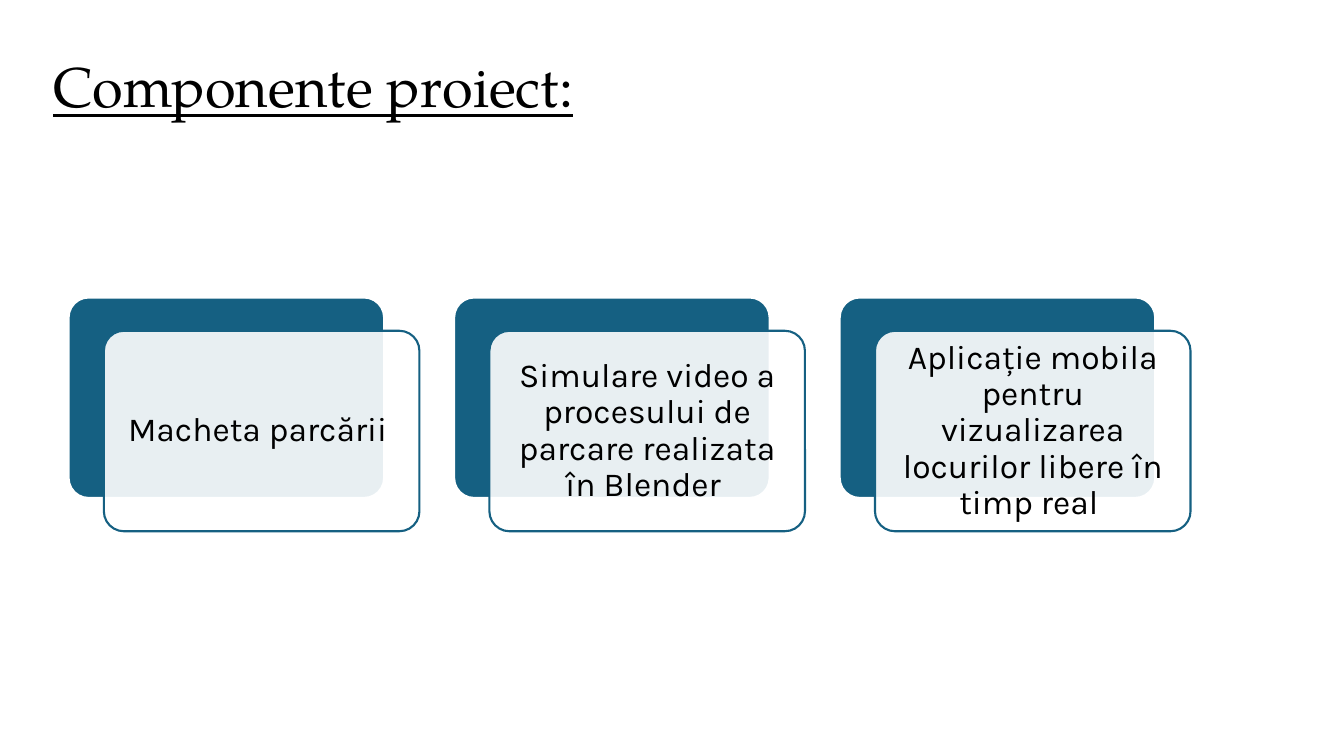
from typing import NamedTuple

from lxml.etree import SubElement
from pptx import Presentation
from pptx.dml.color import RGBColor
from pptx.enum.shapes import MSO_SHAPE
from pptx.enum.text import MSO_ANCHOR, MSO_AUTO_SIZE, PP_ALIGN
from pptx.oxml.ns import qn
from pptx.shapes.autoshape import Shape
from pptx.slide import Slide
from pptx.text.text import _Paragraph as Para
from pptx.util import Pt

BLACK = RGBColor(0x00, 0x00, 0x00)
WHITE = RGBColor(0xFF, 0xFF, 0xFF)
TEAL = RGBColor(0x15, 0x60, 0x82)

LEFT, TOP = 49, 212.5
WIDTH, HEIGHT = 225.4, 143.2
PITCH = 275.4
SHIFT_X, SHIFT_Y = 25.2, 23.8


class Card(NamedTuple):
    text: str


CARDS = [
    Card("Macheta parcării "),
    Card("Simulare video a procesului de parcare realizata în Blender "),
    Card("Aplicație mobila pentru vizualizarea locurilor libere în timp real "),
]


def add_run(para: Para, text: str, font: str, size: float, under: bool = False) -> None:
    run = para.add_run()
    run.text = text
    run.font.name = font
    run.font.size = Pt(size)
    run.font.color.rgb = BLACK
    if under:
        run.font.underline = True


def add_panel(slide: Slide, left: float, top: float, fill: RGBColor, line: RGBColor) -> Shape:
    panel = slide.shapes.add_shape(
        MSO_SHAPE.ROUNDED_RECTANGLE, Pt(left), Pt(top), Pt(WIDTH), Pt(HEIGHT)
    )
    panel.adjustments[0] = 0.1
    panel.shadow.inherit = False
    panel.fill.solid()
    panel.fill.fore_color.rgb = fill
    panel.line.color.rgb = line
    panel.line.width = Pt(1.5)
    return panel


def set_alpha(shape: Shape, share: int) -> None:
    """Make the solid fill opaque by the given percentage."""
    color = shape.fill._xPr.find(qn("a:solidFill"))[0]
    SubElement(color, qn("a:alpha")).set("val", str(share * 1000))


def add_card(slide: Slide, card: Card, left: float) -> None:
    add_panel(slide, left, TOP, TEAL, WHITE)
    front = add_panel(slide, left + SHIFT_X, TOP + SHIFT_Y, WHITE, TEAL)
    set_alpha(front, 90)
    frame = front.text_frame
    frame.word_wrap = True
    frame.vertical_anchor = MSO_ANCHOR.MIDDLE
    frame.margin_left = frame.margin_right = Pt(7.2)
    frame.margin_top = frame.margin_bottom = Pt(7.2)
    para = frame.paragraphs[0]
    para.alignment = PP_ALIGN.CENTER
    para.line_spacing = 0.9
    add_run(para, card.text, "Karla", 24)


def add_title(slide: Slide, text: str) -> None:
    box = slide.shapes.add_textbox(Pt(31), Pt(33), Pt(419), Pt(55.5))
    frame = box.text_frame
    frame.word_wrap = True
    frame.auto_size = MSO_AUTO_SIZE.SHAPE_TO_FIT_TEXT
    add_run(frame.paragraphs[0], text, "TeX Gyre Pagella", 40, under=True)


def main() -> None:
    deck = Presentation()
    deck.slide_width, deck.slide_height = Pt(960), Pt(540)
    slide = deck.slides.add_slide(deck.slide_layouts[6])
    add_title(slide, "Componente proiect:")
    for i, card in enumerate(CARDS):
        add_card(slide, card, LEFT + i * PITCH)
    deck.save("out.pptx")


if __name__ == "__main__":
    main()
